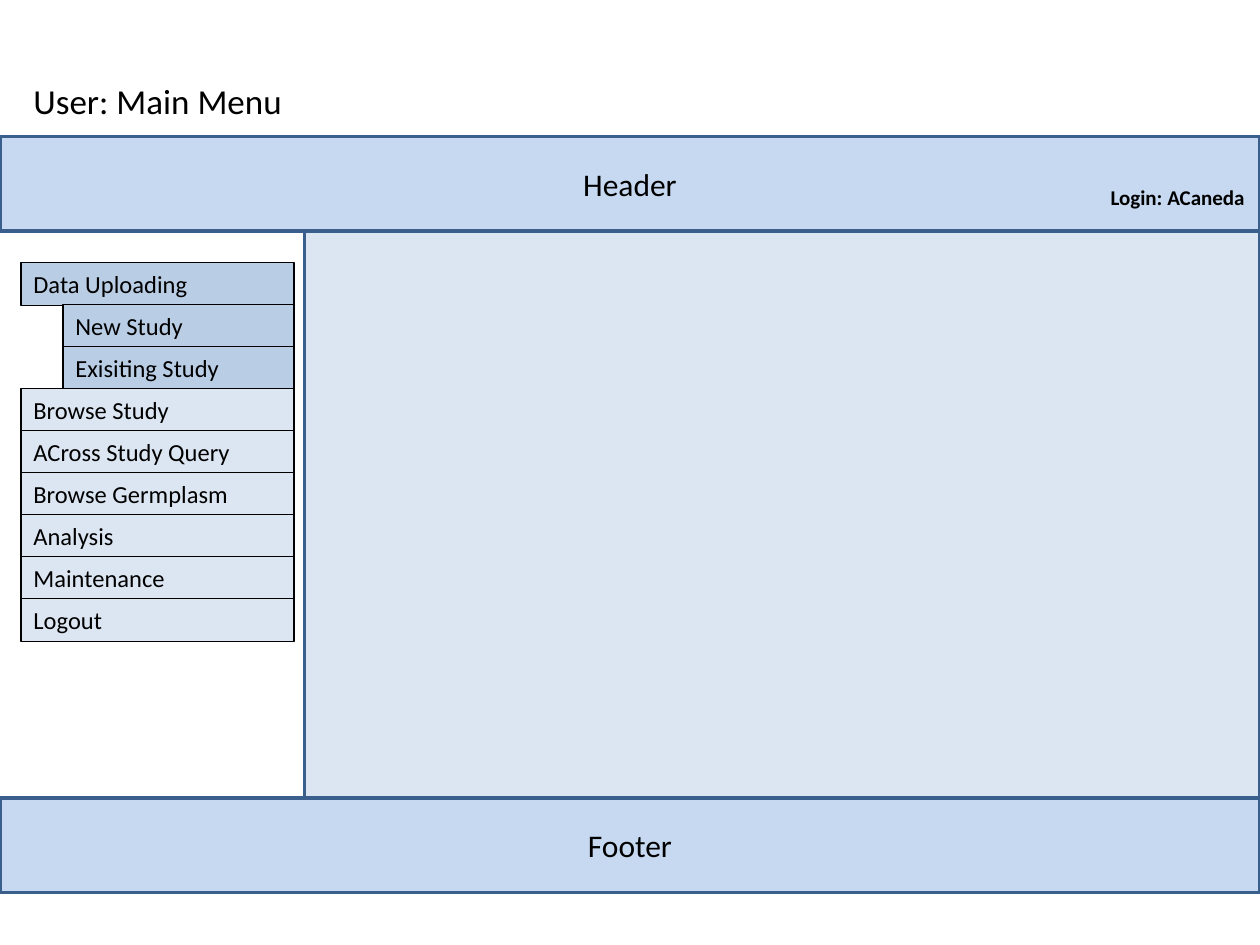
from lxml.etree import SubElement
from pptx import Presentation
from pptx.dml.color import RGBColor
from pptx.enum.shapes import MSO_CONNECTOR, MSO_SHAPE
from pptx.enum.text import MSO_ANCHOR, MSO_AUTO_SIZE, PP_ALIGN
from pptx.oxml.ns import qn
from pptx.util import Emu, Pt

PX = 7620
PAGE_WIDTH, PAGE_HEIGHT = 1200, 900
HEADER_TOP, BODY_TOP, FOOTER_TOP, BAND_HEIGHT = 130, 220, 760, 90
BODY_LEFT = 290
MENU_LEFT, MENU_RIGHT, MENU_TOP, MENU_INDENT = 20, 280, 250, 40
MENU_PITCH, MENU_ITEM_HEIGHT = 40, 41
COLORS = {
    "text": "000000",
    "rule": "4F81BD",
    "frame": "3A5F8C",
    "band": "C6D9F1",
    "body": "DCE6F2",
    "item": "DCE6F2",
    "open_item": "B9CDE5",
    "item_border": "000000",
}
MENU = [
    ("Data Uploading", 0, "open_item"),
    ("New Study", 1, "open_item"),
    ("Exisiting Study", 1, "open_item"),
    ("Browse Study", 0, "item"),
    ("ACross Study Query", 0, "item"),
    ("Browse Germplasm", 0, "item"),
    ("Analysis", 0, "item"),
    ("Maintenance", 0, "item"),
    ("Logout", 0, "item"),
]


def px(*lengths):
    """Turn pixel lengths into EMU."""
    return [Emu(length * PX) for length in lengths]


def color(name):
    """Look up a named colour."""
    return RGBColor.from_string(COLORS[name])


def write(box, text, size, bold=False, align=PP_ALIGN.LEFT, anchor=MSO_ANCHOR.TOP, wrap=True, grow=True):
    """Write one line of text into a box."""
    frame = box.text_frame
    frame.word_wrap = wrap
    frame.vertical_anchor = anchor
    frame.auto_size = MSO_AUTO_SIZE.SHAPE_TO_FIT_TEXT if grow else MSO_AUTO_SIZE.NONE
    para = frame.paragraphs[0]
    para.alignment = align
    span = para.add_run()
    span.text = text
    span.font.name = "Calibri"
    span.font.size = Pt(size)
    span.font.bold = bold
    span.font.color.rgb = color("text")


def add_rule(page, top):
    """Draw a horizontal line across the page."""
    rule = page.shapes.add_connector(MSO_CONNECTOR.STRAIGHT, *px(0, top, PAGE_WIDTH, top))
    rule.line.color.rgb = color("rule")
    rule.line.width = Pt(0.75)
    SubElement(rule.element.spPr, qn("a:effectLst"))


def add_panel(page, place, fill, border="frame", width=2):
    """Draw a bordered rectangle."""
    panel = page.shapes.add_shape(MSO_SHAPE.RECTANGLE, *px(*place))
    panel.shadow.inherit = False
    panel.fill.solid()
    panel.fill.fore_color.rgb = color(fill)
    panel.line.color.rgb = color(border)
    panel.line.width = Pt(width)
    return panel


def add_band(page, top, text):
    """Draw a full-width band with a centred title."""
    band = add_panel(page, (0, top, PAGE_WIDTH, BAND_HEIGHT), "band")
    write(band, text, 18, align=PP_ALIGN.CENTER, anchor=MSO_ANCHOR.MIDDLE, grow=False)


def add_label(page, place, text, size, **style):
    """Place a text box."""
    write(page.shapes.add_textbox(*px(*place)), text, size, **style)


def add_menu(page):
    """Stack the menu items, with sub-items indented."""
    for row, (text, level, fill) in enumerate(MENU):
        left = MENU_LEFT + level * MENU_INDENT
        place = (left, MENU_TOP + row * MENU_PITCH, MENU_RIGHT - left, MENU_ITEM_HEIGHT)
        write(add_panel(page, place, fill, "item_border", 0.75), text, 14)


def main():
    """Build the main menu slide."""
    deck = Presentation()
    deck.slide_width, deck.slide_height = px(PAGE_WIDTH, PAGE_HEIGHT)
    page = deck.slides.add_slide(deck.slide_layouts[6])
    add_rule(page, HEADER_TOP)
    add_label(page, (20, 70, 400, 53), "User: Main Menu", 20)
    add_band(page, HEADER_TOP, "Header")
    add_panel(page, (BODY_LEFT, BODY_TOP, PAGE_WIDTH - BODY_LEFT, FOOTER_TOP - BODY_TOP), "body")
    add_band(page, FOOTER_TOP, "Footer")
    add_label(page, (1046, 170, 154, 36), "Login: ACaneda", 12, bold=True, wrap=False)
    add_menu(page)
    deck.save("out.pptx")


if __name__ == "__main__":
    main()
